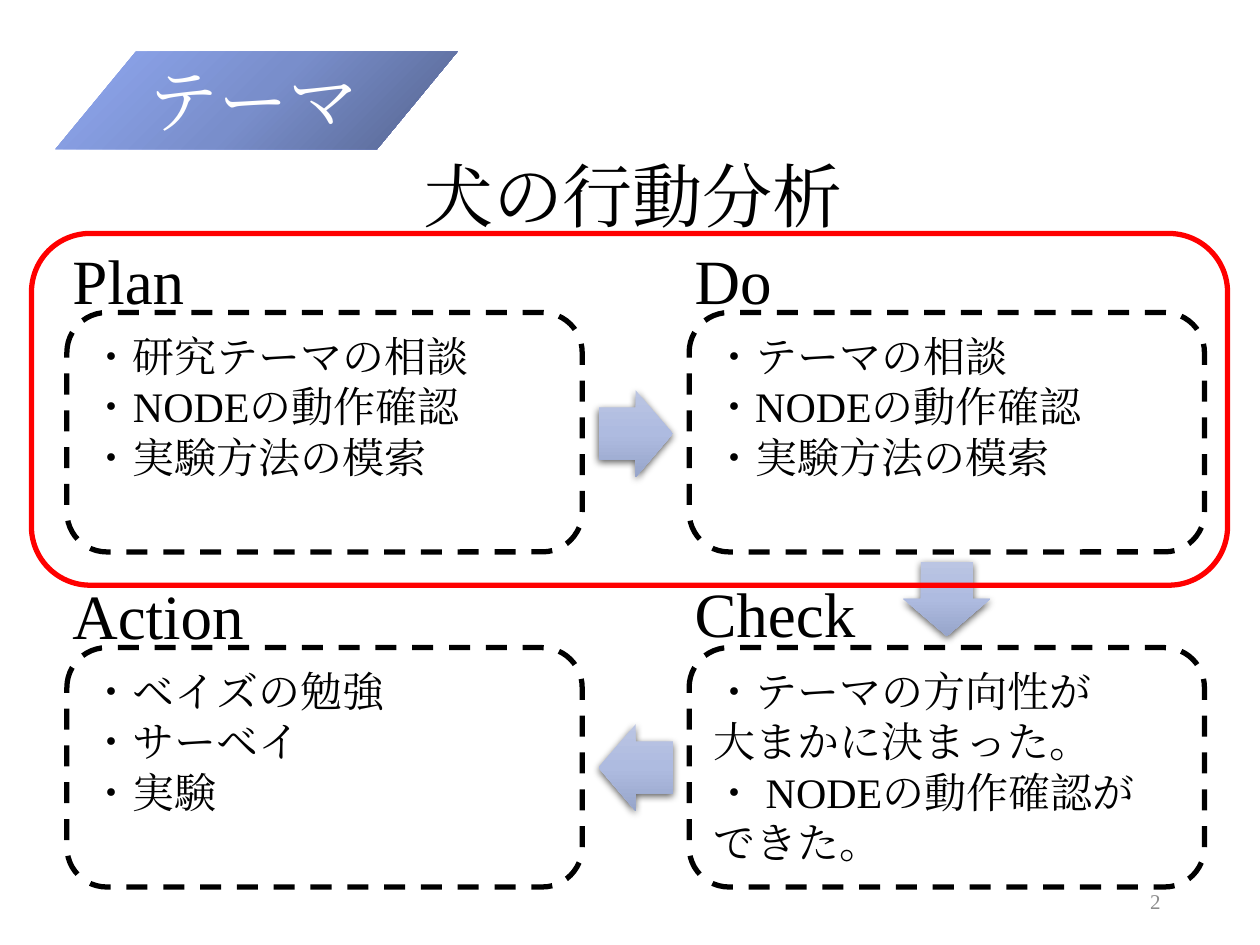
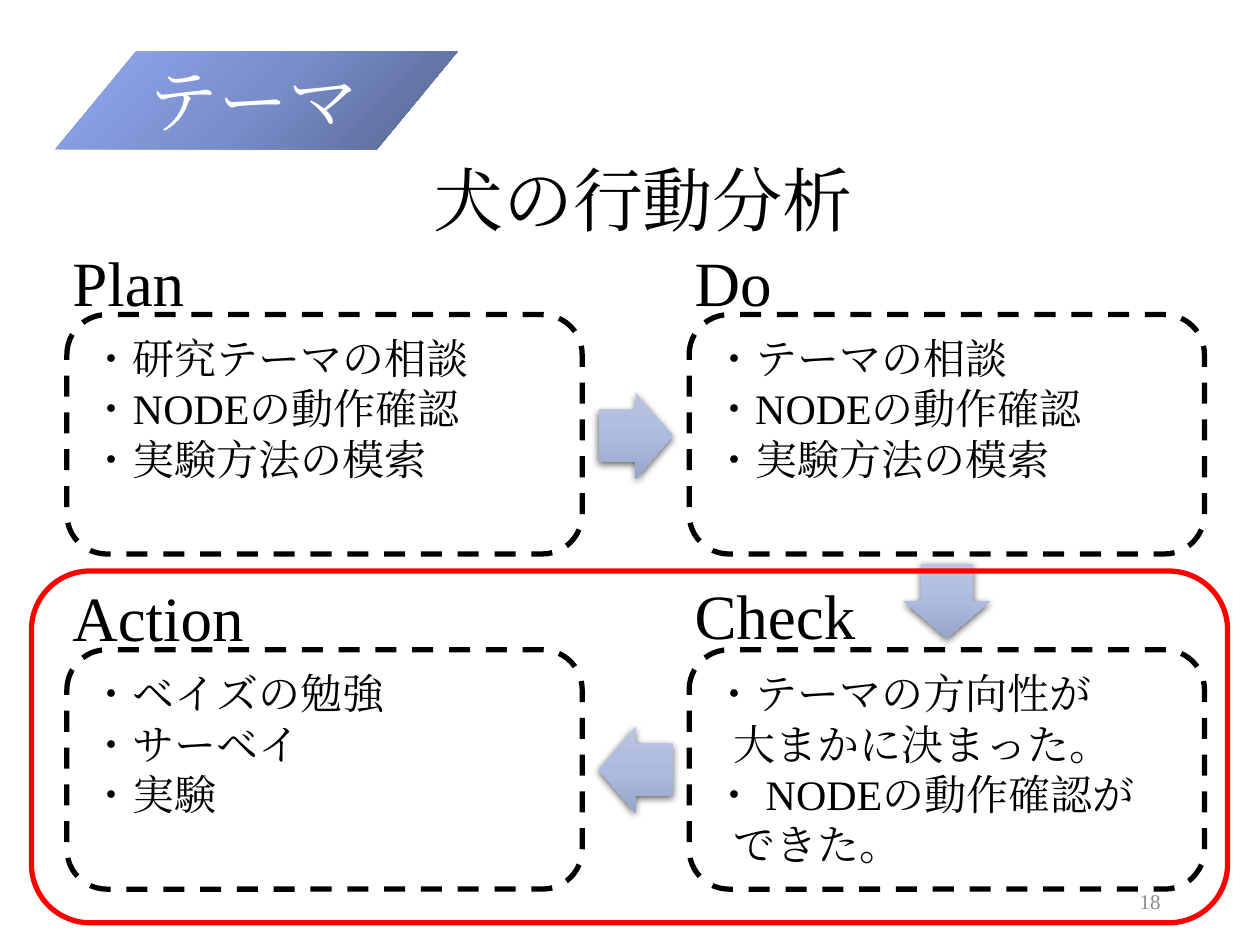
from dataclasses import dataclass

from lxml import etree
from pptx import Presentation
from pptx.dml.color import RGBColor
from pptx.enum import dml, shapes, text
from pptx.oxml.ns import qn
from pptx.util import Pt

FONT = "Times New Roman"
BLACK = RGBColor(0x00, 0x00, 0x00)
WHITE = RGBColor(0xFF, 0xFF, 0xFF)
RED = RGBColor(0xFF, 0x00, 0x00)
GREY = RGBColor(0x8C, 0x8C, 0x8C)
BANNER_STOPS = (RGBColor(0x55, 0x64, 0x8E), RGBColor(0x79, 0x8E, 0xCB), RGBColor(0x90, 0xA8, 0xF1))
ARROW_STOPS = (RGBColor(0xBB, 0xC5, 0xE3), RGBColor(0xAE, 0xBB, 0xE0), RGBColor(0x97, 0xA5, 0xCA))

# Grid of the four stages
COL_X, ROW_STEP, COL_STEP = 38.2, 191.5, 355.6
BOX_W, BOX_H = 294.5, 136.8
ARROW_W, ARROW_H = 42.5, 49.7


@dataclass
class Stage:
    name: str
    col: int
    row: int
    label_w: float
    items: tuple[str, ...]
    label_rise: float = 46.8


@dataclass
class Arrow:
    x: float
    dy: float
    rotation: int


@dataclass
class Page:
    number: str
    title_x: float
    title_y: float
    grid_y: float
    frame_y: float
    hanging: float  # indent of lines that continue an item


STAGES = (
    Stage("Action", 0, 1, 140.4, ("・ベイズの勉強", "・サーベイ", "・実験")),
    Stage("Check", 1, 1, 155.5,
          ("・テーマの方向性が", "大まかに決まった。", "・ NODEの動作確認が", "できた。"), 48),
    Stage("Plan", 0, 0, 85.7, ("・研究テーマの相談", "・NODEの動作確認", "・実験方法の模索")),
    Stage("Do", 1, 0, 64.1, ("・テーマの相談", "・NODEの動作確認", "・実験方法の模索")),
)
ARROWS = (Arrow(342, 44.4, 0), Arrow(519.8, 138.8, 90), Arrow(342, 235.2, 180))
PAGES = (
    Page("2", 234.7, 83.5, 178.6, 133.4, 0),
    Page("18", 240.5, 85.7, 179.8, 326.3, 11.5),
)


def write(sp, lines: tuple[str, ...], size: float, color: RGBColor,
          align=text.PP_ALIGN.LEFT, anchor=text.MSO_ANCHOR.TOP,
          wrap: bool = True, hanging: float = 0) -> None:
    tf = sp.text_frame
    tf.word_wrap = wrap
    tf.vertical_anchor = anchor
    for i, line in enumerate(lines):
        p = tf.add_paragraph() if i else tf.paragraphs[0]
        p.alignment = align
        if hanging and not line.startswith("・"):
            p._p.get_or_add_pPr().set("marL", str(Pt(hanging)))
        r = p.add_run()
        r.text = line
        r.font.name = FONT
        r.font.size = Pt(size)
        r.font.color.rgb = color
        # Same typeface for the Japanese characters
        latin = r._r.rPr.find(qn("a:latin"))
        ea = etree.Element(qn("a:ea"), typeface=FONT)
        latin.addnext(ea)


def add_shape(s, kind, x: float, y: float, w: float, h: float,
              fill: RGBColor | None = None, line: RGBColor | None = None):
    sp = s.shapes.add_shape(kind, Pt(x), Pt(y), Pt(w), Pt(h))
    sp.shadow.inherit = False
    if fill is None:
        sp.fill.background()
    else:
        sp.fill.solid()
        sp.fill.fore_color.rgb = fill
    if line is None:
        sp.line.fill.background()
    else:
        sp.line.color.rgb = line
        sp.line.width = Pt(3)
    return sp


def add_text(s, x: float, y: float, w: float, h: float):
    return s.shapes.add_textbox(Pt(x), Pt(y), Pt(w), Pt(h))


def set_gradient(sp, stops: tuple[RGBColor, ...], radial: bool) -> None:
    """Three even stops, from the lower right corner or from top to bottom."""
    old = sp._element.spPr.find(qn("a:noFill"))
    grad = etree.Element(qn("a:gradFill"), rotWithShape="1" if radial else "0")
    gs_list = etree.SubElement(grad, qn("a:gsLst"))
    for i, color in enumerate(stops):
        gs = etree.SubElement(gs_list, qn("a:gs"), pos=str(50000 * i))
        etree.SubElement(gs, qn("a:srgbClr"), val=str(color))
    if radial:
        path = etree.SubElement(grad, qn("a:path"))
        path.set("path", "circle")
        etree.SubElement(path, qn("a:fillToRect"), l="100000", t="100000")
    else:
        etree.SubElement(grad, qn("a:lin"), ang="5400000", scaled="0")
    old.getparent().replace(old, grad)


def set_shadow(sp) -> None:
    effects = sp._element.spPr.find(qn("a:effectLst"))
    shadow = etree.SubElement(effects, qn("a:outerShdw"), blurRad=str(Pt(4.5)),
                              dist=str(Pt(1.5)), dir="5400000", rotWithShape="0")
    color = etree.SubElement(shadow, qn("a:srgbClr"), val=str(BLACK))
    etree.SubElement(color, qn("a:alpha"), val="63000")


def draw_stage(s, stage: Stage, page: Page) -> None:
    x = COL_X + stage.col * COL_STEP
    y = page.grid_y + stage.row * ROW_STEP
    rounded = shapes.MSO_SHAPE.ROUNDED_RECTANGLE
    label = add_shape(s, rounded, x - 6.7, y - stage.label_rise, stage.label_w, 56, fill=WHITE)
    write(label, (stage.name,), 36, BLACK)
    box = add_shape(s, rounded, x, y, BOX_W, BOX_H, line=BLACK)
    box.line.dash_style = dml.MSO_LINE.DASH
    write(box, stage.items, 24, BLACK, hanging=page.hanging)


def draw_arrow(s, arrow: Arrow, grid_y: float) -> None:
    sp = add_shape(s, shapes.MSO_SHAPE.RIGHT_ARROW, arrow.x, grid_y + arrow.dy, ARROW_W, ARROW_H)
    sp.adjustments[0], sp.adjustments[1] = 0.6, 0.5
    sp.rotation = arrow.rotation
    set_gradient(sp, ARROW_STOPS, radial=False)
    set_shadow(sp)


def draw_page(prs, page: Page) -> None:
    s = prs.slides.add_slide(prs.slide_layouts[6])

    # Banner and title
    banner = add_shape(s, shapes.MSO_SHAPE.FLOWCHART_DATA, 31.7, 29.5, 229.7, 55.7)
    set_gradient(banner, BANNER_STOPS, radial=True)
    write(banner, ("テーマ",), 40, WHITE)
    title = add_text(s, page.title_x, page.title_y, 257, 55.7)
    write(title, ("犬の行動分析",), 40, BLACK, wrap=False)

    # Cycle of stages
    for stage in STAGES:
        draw_stage(s, stage, page)
    for arrow in ARROWS:
        draw_arrow(s, arrow, page.grid_y)

    # Slide number and highlight frame
    number = add_text(s, 508.3, 500.4, 162, 28.8)
    write(number, (page.number,), 12, GREY, text.PP_ALIGN.RIGHT, text.MSO_ANCHOR.MIDDLE)
    add_shape(s, shapes.MSO_SHAPE.ROUNDED_RECTANGLE, 18, page.frame_y, 683.5, 201, line=RED)


def main() -> None:
    prs = Presentation()
    prs.slide_width, prs.slide_height = Pt(720), Pt(540)
    for page in PAGES:
        draw_page(prs, page)
    prs.save("out.pptx")


if __name__ == "__main__":
    main()
